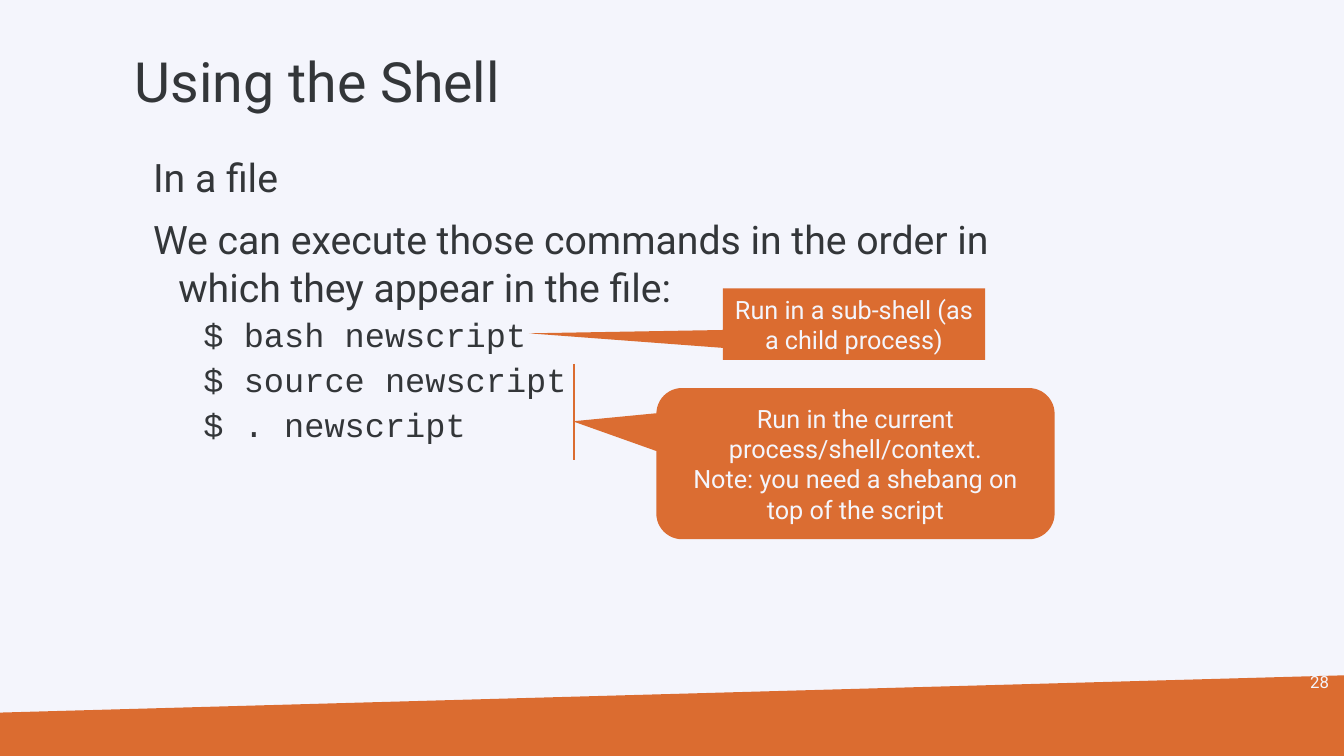
import pptx
import pptx.util
import pptx.dml.color
import pptx.enum.shapes
import pptx.enum.text
import pptx.oxml

Inches = pptx.util.Inches
Pt = pptx.util.Pt
RGBColor = pptx.dml.color.RGBColor
Shape = pptx.enum.shapes.MSO_SHAPE
Align = pptx.enum.text.PP_ALIGN
Anchor = pptx.enum.text.MSO_ANCHOR

WIDTH, HEIGHT = 13.33, 7.5
PALE = RGBColor(0xF4, 0xF5, 0xFC)
DARK = RGBColor(0x33, 0x36, 0x39)
ORANGE = RGBColor(0xDB, 0x6C, 0x30)
SOFT_ORANGE = RGBColor(0xDB, 0x6D, 0x32)
SANS, MONO = "Roboto", "Courier New"


def write(para, text, size=18, font=SANS, color=PALE, align=Align.LEFT,
          spacing=1.0, before=0, margin=0, indent=0):
    para.alignment = align
    para.line_spacing = spacing
    para.space_before = Pt(before)
    properties = para._p.get_or_add_pPr()
    properties.set("marL", str(Inches(margin)))
    properties.set("indent", str(Inches(indent)))
    span = para.add_run()
    span.text = text
    span.font.size = Pt(size)
    span.font.name = font
    span.font.color.rgb = color


def add_text(page, box, lines, anchor=Anchor.TOP, bottom=0.05):
    frame = page.shapes.add_textbox(*map(Inches, box)).text_frame
    frame.word_wrap = True
    frame.vertical_anchor = anchor
    frame.margin_bottom = Inches(bottom)
    for index, (text, style) in enumerate(lines):
        para = frame.add_paragraph() if index else frame.paragraphs[0]
        write(para, text, **style)


def add_footer(page, box, number):
    left, top, width, height = box
    builder = page.shapes.build_freeform(
        Inches(left), Inches(top + 0.37), scale=1.0)
    corners = [(left + width, top), (left + width, top + height),
               (left, top + height)]
    builder.add_line_segments([(Inches(x), Inches(y)) for x, y in corners])
    band = builder.convert_to_shape()
    band.shadow.inherit = False
    band.fill.solid()
    band.fill.fore_color.rgb = ORANGE
    band.line.fill.background()
    add_text(page, (left + width - 1.41, top - 0.09, 1.36, 0.31),
             [(number, dict(size=12, align=Align.RIGHT))], Anchor.MIDDLE)


def add_title(page, box, text):
    add_text(page, box, [(text, dict(size=39.6, color=DARK, spacing=1.02))],
             Anchor.BOTTOM, bottom=0.12)


def add_body(page, box, statements, commands):
    prose = dict(size=28, color=DARK, spacing=1.02, before=10,
                 margin=0.25, indent=-0.25)
    code = dict(size=24, font=MONO, color=DARK, spacing=0.94, before=5,
                margin=0.75, indent=-0.25)
    add_text(page, box, [(text, prose) for text in statements]
             + [(text, code) for text in commands])


def add_callout(page, box, kind, adjustments, fill, lines):
    callout = page.shapes.add_shape(kind, *map(Inches, box))
    callout.shadow.inherit = False
    callout.fill.solid()
    callout.fill.fore_color.rgb = fill
    callout.line.fill.background()
    for index, value in enumerate(adjustments):
        callout.adjustments[index] = value
    frame = callout.text_frame
    frame.word_wrap = True
    frame.vertical_anchor = Anchor.MIDDLE
    for index, text in enumerate(lines):
        para = frame.add_paragraph() if index else frame.paragraphs[0]
        write(para, text, align=Align.CENTER)


def add_bracket(page, x, top, height):
    bracket = page.shapes.add_connector(
        pptx.enum.shapes.MSO_CONNECTOR.STRAIGHT,
        Inches(x), Inches(top), Inches(x), Inches(top + height))
    bracket.line.color.rgb = ORANGE
    bracket.line.width = Pt(1.5)
    bracket._element.spPr.append(pptx.oxml.parse_xml(
        '<a:effectLst xmlns:a='
        '"http://schemas.openxmlformats.org/drawingml/2006/main"/>'))


def build_shell_slide(deck):
    page = deck.slides.add_slide(deck.slide_layouts[6])
    page.background.fill.solid()
    page.background.fill.fore_color.rgb = PALE
    add_footer(page, (0, 6.7, WIDTH, 0.8), "28")
    add_title(page, (1.24, 0, 8.54, 1.25), "Using the Shell")
    add_body(page, (1.42, 1.46, 8.54, 4.73),
             ["In a file", "We can execute those commands in the order in "
              "which they appear in the file:"],
             ["$ bash newscript", "$ source newscript", "$ . newscript"])
    add_callout(page, (7.17, 2.86, 2.6, 0.71), Shape.RECTANGULAR_CALLOUT,
                (-1.24, 0.13), ORANGE,
                ["Run in a sub-shell (as a child process)"])
    add_callout(page, (6.51, 3.85, 3.95, 1.5),
                Shape.ROUNDED_RECTANGULAR_CALLOUT,
                (-0.71, -0.28, 0.17), SOFT_ORANGE,
                ["Run in the current process/shell/context.",
                 "Note: you need a shebang on top of the script"])
    add_bracket(page, 5.69, 3.61, 0.95)


def main():
    deck = pptx.Presentation()
    deck.slide_width = Inches(WIDTH)
    deck.slide_height = Inches(HEIGHT)
    build_shell_slide(deck)
    deck.save("out.pptx")


if __name__ == "__main__":
    main()
